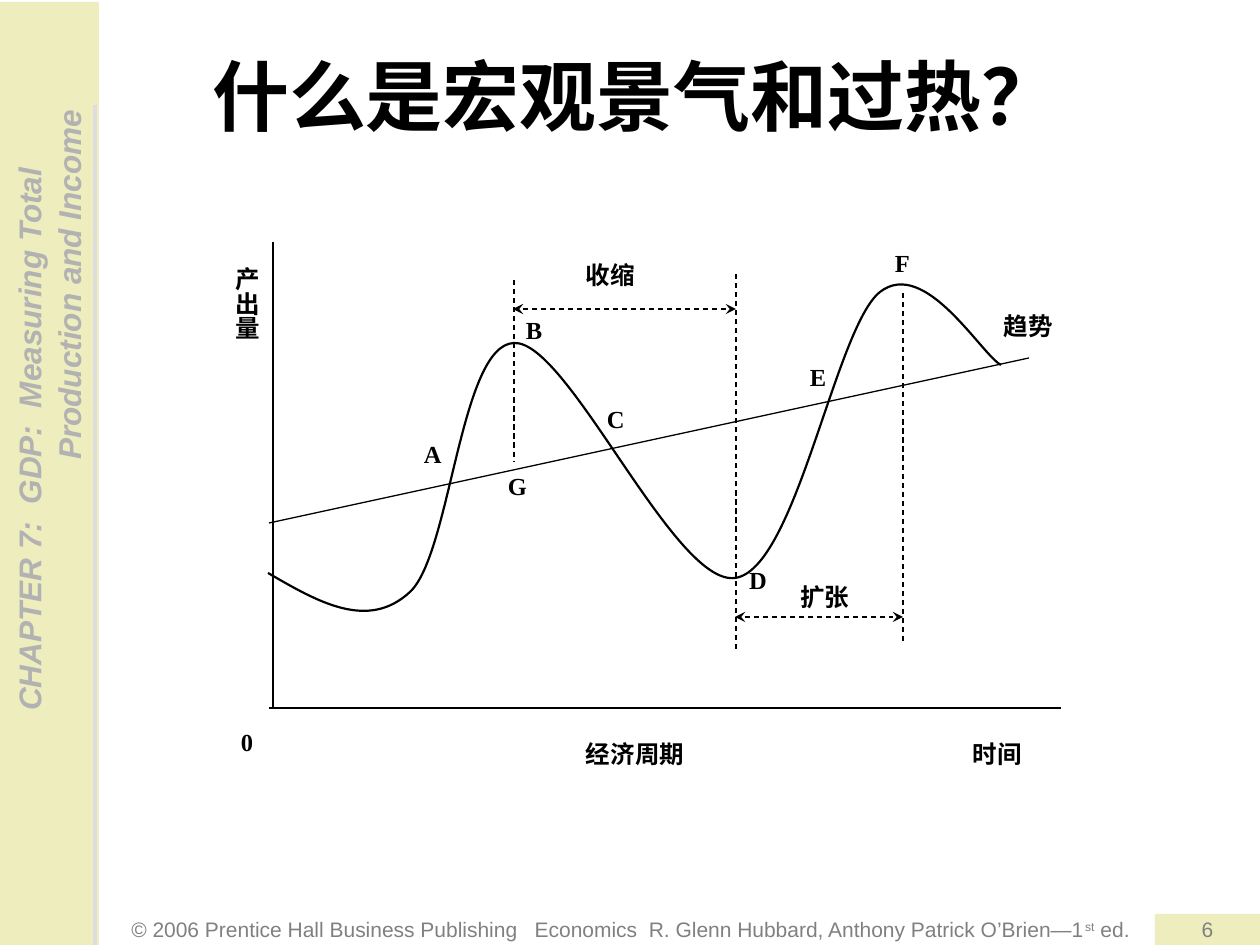
from typing import NamedTuple

from lxml.etree import SubElement
from pptx import Presentation
from pptx.dml.color import RGBColor
from pptx.enum.dml import MSO_LINE_DASH_STYLE as Dash
from pptx.enum.shapes import MSO_CONNECTOR as Connector, MSO_SHAPE as Shape
from pptx.enum.text import MSO_ANCHOR as Anchor, PP_ALIGN as Align
from pptx.oxml.ns import qn
from pptx.util import Emu, Pt

SCALE = 914400 / 126
BLACK, GREY, PALE_GREY = "000000", "808080", "B2B2B2"
CREAM, RULE_GREY = "EEEDBD", "DDDDDD"


class Label(NamedTuple):
    text: str
    left: int
    top: int
    width: int
    height: int = 54


class Line(NamedTuple):
    x1: int
    y1: int
    x2: int
    y2: int
    color: str = BLACK
    weight: float = 0.75
    dashed: bool = False
    arrows: bool = False


LABELS = [
    Label("经济周期", 573, 733, 163, 48),
    Label("时间", 960, 733, 81),
    Label("0", 228, 721, 66),
    Label("扩张", 787, 576, 96),
    Label("趋势", 991, 305, 91),
    Label("收缩", 573, 254, 122),
    Label("A", 411, 433, 122),
    Label("B", 513, 309, 60, 72),
    Label("C", 594, 398, 102),
    Label("G", 495, 465, 60, 49),
    Label("D", 736, 559, 82),
    Label("E", 797, 356, 60),
    Label("F", 882, 242, 60),
]

LINES = [
    Line(269, 708, 1061, 708),                              # time axis
    Line(273, 708, 273, 242),                               # output axis
    Line(269, 523, 1029, 358),                              # trend
    Line(514, 280, 514, 461, dashed=True),                  # peak B
    Line(736, 649, 736, 273, dashed=True),                  # trough D
    Line(903, 293, 903, 643, dashed=True),                  # peak F
    Line(513, 309, 736, 309, dashed=True, arrows=True),     # contraction
    Line(735, 617, 903, 617, dashed=True, arrows=True),     # expansion
]

# Start point, then two control points and an end point per segment
CYCLE = [
    (268, 573),
    (318, 602), (368, 631), (410, 592),
    (451, 554), (460, 345), (514, 343),
    (568, 340), (674, 586), (735, 578),
    (796, 570), (835, 328), (880, 292),
    (925, 257), (981, 354), (1001, 365),
]


def px(length: float) -> Emu:
    return Emu(round(length * SCALE))


def rgb(color: str) -> RGBColor:
    return RGBColor.from_string(color)


def format_span(span, size, font, color, bold=False, italic=False):
    span.font.size, span.font.name = Pt(size), font
    span.font.bold, span.font.italic = bold, italic
    span.font.color.rgb = rgb(color)


def write(box, text: str, *, size=14, font="Times New Roman", color=BLACK,
          bold=False, italic=False, align=Align.JUSTIFY, anchor=Anchor.TOP,
          insets=(13, 6, 13, 6), wrap=True, vertical=None):
    """Fill a box with one paragraph; a vertical tab breaks the line."""
    frame = box.text_frame
    frame.word_wrap, frame.vertical_anchor = wrap, anchor
    (frame.margin_left, frame.margin_top,
     frame.margin_right, frame.margin_bottom) = map(px, insets)
    if vertical:
        frame._txBody.bodyPr.set("vert", vertical)
    para = frame.paragraphs[0]
    para.text, para.alignment = text, align
    for span in para.runs:
        format_span(span, size, font, color, bold, italic)
    return para


def add_text(page, left, top, width, height, text, **style):
    box = page.shapes.add_textbox(px(left), px(top), px(width), px(height))
    return write(box, text, **style)


def add_panel(page, left: int, top: int, width: int, height: int, color: str):
    panel = page.shapes.add_shape(Shape.RECTANGLE, px(left), px(top), px(width), px(height))
    panel.shadow.inherit = False
    panel.fill.solid()
    panel.fill.fore_color.rgb = rgb(color)
    panel.line.fill.background()
    return panel


def add_line(page, line: Line):
    connector = page.shapes.add_connector(
        Connector.STRAIGHT, px(line.x1), px(line.y1), px(line.x2), px(line.y2))
    connector.line.color.rgb = rgb(line.color)
    connector.line.width = Pt(line.weight)
    if line.dashed:
        connector.line.dash_style = Dash.DASH
    if line.arrows:
        for end in ("a:headEnd", "a:tailEnd"):
            SubElement(connector.line._get_or_add_ln(), qn(end), type="stealth")
    SubElement(connector._element.spPr, qn("a:effectLst"))


def add_curve(page, points: list[tuple[int, int]], weight: float):
    """Draw a chain of cubic Bezier segments."""
    builder = page.shapes.build_freeform(*points[0], scale=SCALE)
    builder.add_line_segments(points[1:], close=False)
    curve = builder.convert_to_shape()
    steps = list(curve._element.iter(qn("a:lnTo")))
    for first in range(0, len(steps), 3):
        segment = SubElement(steps[first].getparent(), qn("a:cubicBezTo"))
        for step in steps[first:first + 3]:
            segment.append(step[0])
            step.getparent().remove(step)
    curve.shadow.inherit = False
    curve.fill.background()
    curve.line.color.rgb = rgb(BLACK)
    curve.line.width = Pt(weight)


def add_sidebar(page):
    panel = add_panel(page, -3, 2, 102, 945, CREAM)
    para = write(panel, "\tCHAPTER 7:  GDP:  Measuring Total\v\t\t\tProduction and Income",
                 size=18, font="Arial", color=PALE_GREY, bold=True, italic=True,
                 align=Align.LEFT, insets=(11, 13, 6, 13), vertical="vert270")
    para.line_spacing = 1.05
    tabs = SubElement(para._p.get_or_add_pPr(), qn("a:tabLst"))
    for stop in (223, 349, 474):
        SubElement(tabs, qn("a:tab"), pos=str(px(stop)), algn="l")
    add_line(page, Line(95, 105, 95, 945, RULE_GREY, 2))


def add_footer(page):
    style = dict(size=12, font="Arial", color=GREY)
    para = add_text(page, 32, 914, 1197, 31,
                    "© 2006 Prentice Hall Business Publishing   Economics  "
                    "R. Glenn Hubbard, Anthony Patrick O’Brien—1",
                    align=Align.CENTER, anchor=Anchor.MIDDLE, **style)
    for text, baseline in (("st", "30000"), (" ed.", "0")):
        span = para.add_run()
        span.text = text
        format_span(span, **style)
        span._r.get_or_add_rPr().set("baseline", baseline)
    number = add_panel(page, 1155, 914, 105, 31, CREAM)
    write(number, "6", align=Align.CENTER, anchor=Anchor.MIDDLE, **style)


def main():
    deck = Presentation()
    deck.slide_width, deck.slide_height = px(1260), px(945)
    page = deck.slides.add_slide(deck.slide_layouts[6])

    # Frame of the page
    add_sidebar(page)
    add_footer(page)
    add_text(page, 199, 42, 873, 106, "什么是宏观景气和过热？", size=44, bold=True,
             align=Align.LEFT, wrap=False)

    # Business cycle diagram
    for line in LINES:
        add_line(page, line)
    add_curve(page, CYCLE, 1.25)
    for label in LABELS:
        add_text(page, label.left, label.top, label.width, label.height, label.text, bold=True)
    add_text(page, 189, 254, 79, 155, "产出量", bold=True, align=Align.CENTER,
             insets=(6, 13, 6, 13), vertical="eaVert")

    deck.save("out.pptx")


if __name__ == "__main__":
    main()
